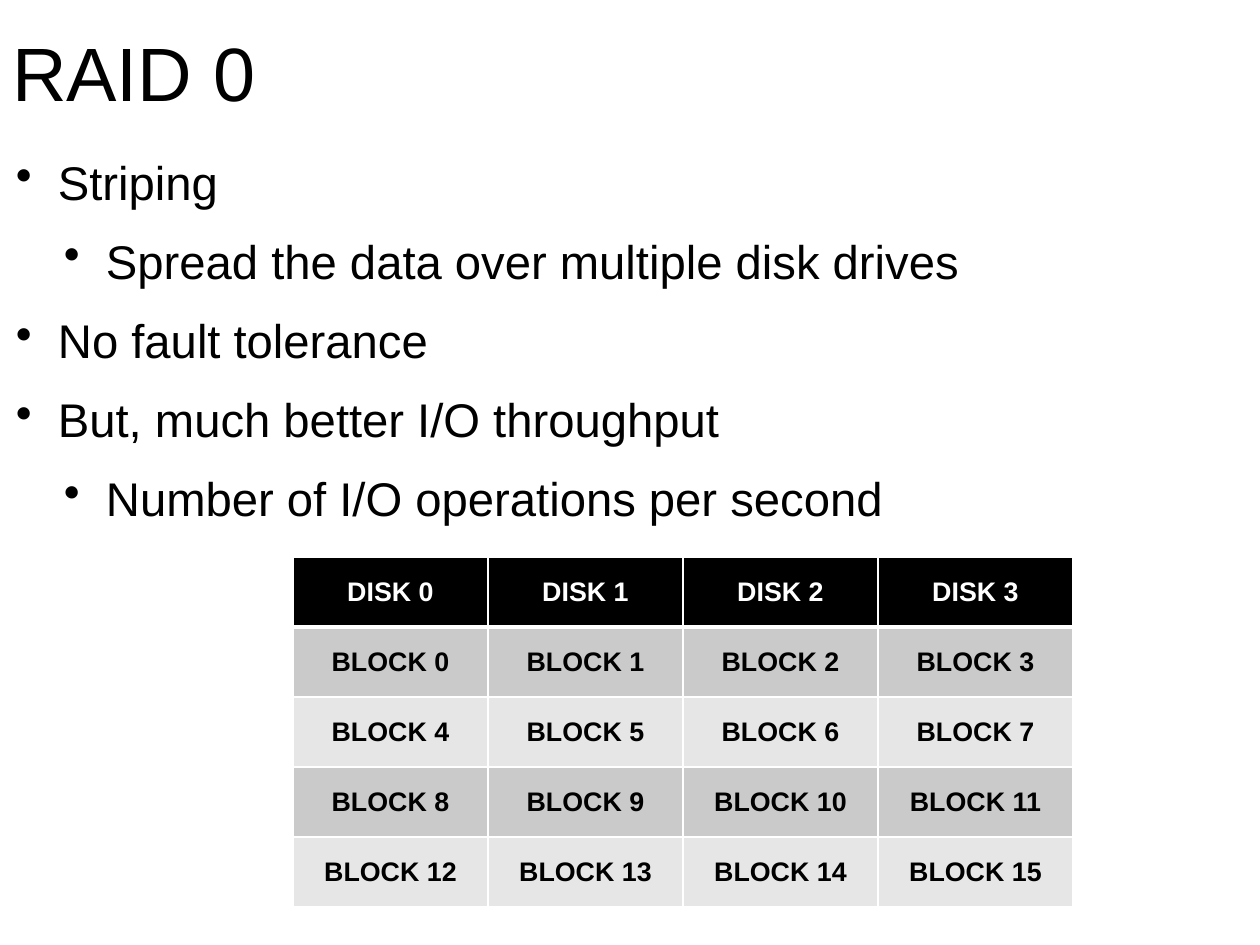
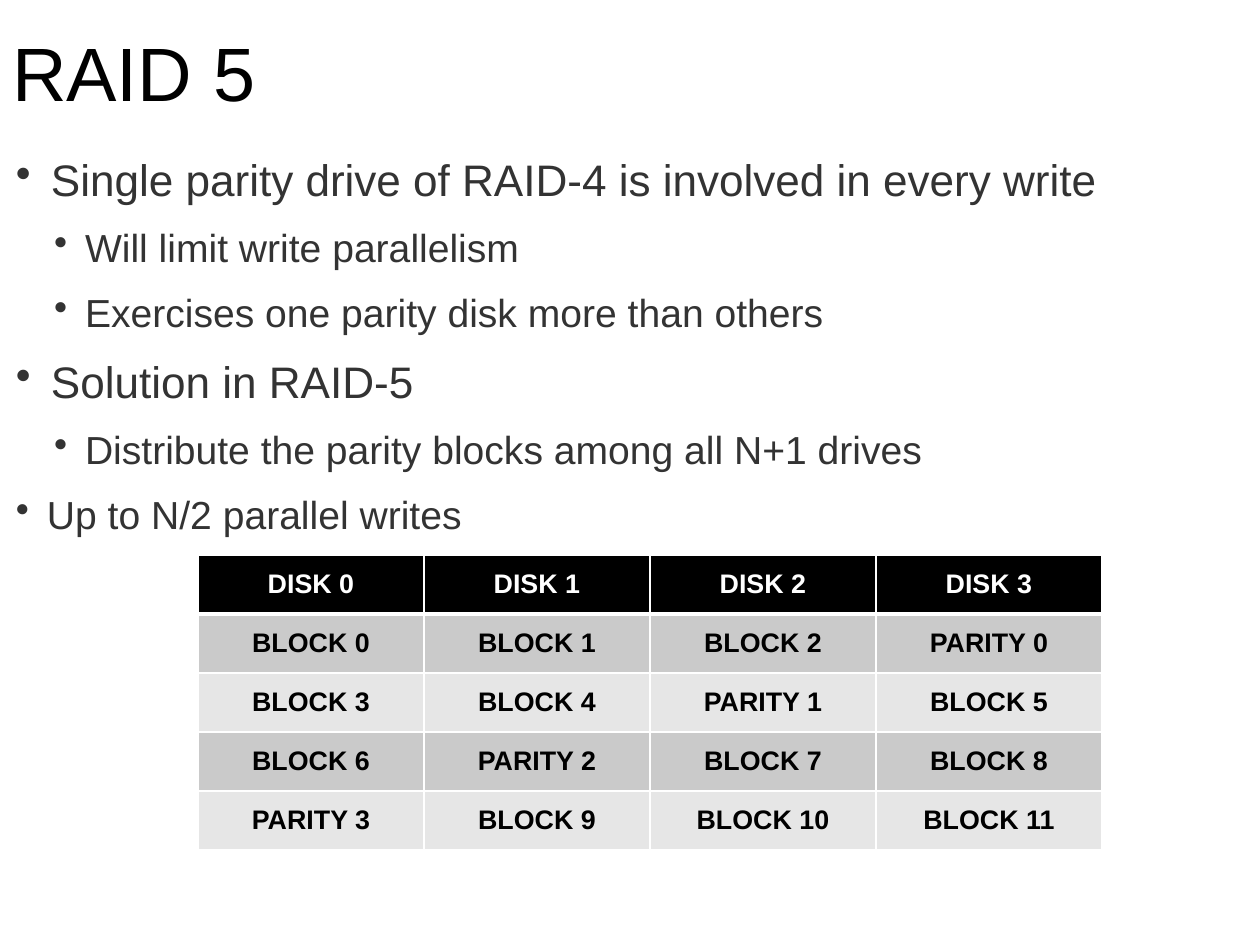
from dataclasses import dataclass

from lxml import etree
from pptx import Presentation
from pptx.dml.color import RGBColor
from pptx.enum.text import MSO_ANCHOR, PP_ALIGN
from pptx.oxml.ns import qn
from pptx.slide import Slide
from pptx.table import _Cell
from pptx.text.text import TextFrame, _Paragraph
from pptx.util import Pt

PX = 8064
SLIDE_SIZE = (1260, 945)
TITLE_ONLY = 5
DISKS = 4
STRIPES = 4
FONT = "Arial"
LINE_SPACING = 1.2
TEXT_INSET = 5
CELL_INSET = 8
COLORS = {
    "black": "000000",
    "white": "FFFFFF",
    "charcoal": "333333",
    "band_dark": "CACACA",
    "band_light": "E6E6E6",
}
LEFT, CENTER = PP_ALIGN.LEFT, PP_ALIGN.CENTER
TOP, MIDDLE, BOTTOM = MSO_ANCHOR.TOP, MSO_ANCHOR.MIDDLE, MSO_ANCHOR.BOTTOM


@dataclass(frozen=True)
class Box:
    """A rectangle in px."""

    left: int
    top: int
    width: int
    height: int

    def emu(self) -> tuple[int, int, int, int]:
        """Return the rectangle in EMU."""
        return self.left * PX, self.top * PX, self.width * PX, self.height * PX


@dataclass(frozen=True)
class BulletStyle:
    """Indent in px, sizes in points and colour of one bullet level."""

    margin: int
    hanging: int
    size: float
    space_before: float
    color: str


@dataclass(frozen=True)
class RaidSlide:
    """Content of one slide about a RAID level."""

    title: str
    bullets: list[tuple[BulletStyle, str]]
    bullet_box: Box
    blocks: list[list[str]]
    block_box: Box


TITLE_BOX = Box(7, 2, 1208, 120)
RAID0_MAIN = BulletStyle(42, 42, 30, 7, "black")
RAID0_SUB = BulletStyle(90, 42, 30, 7, "black")
RAID5_MAIN = BulletStyle(35, 35, 28, 5.5, "charcoal")
RAID5_SUB = BulletStyle(69, 31, 24.8, 5.5, "charcoal")
RAID5_LAST = BulletStyle(31, 31, 24.8, 5.5, "charcoal")


def stripe_blocks(with_parity: bool) -> list[list[str]]:
    """Number the blocks across the disks, moving parity one disk left per stripe."""
    stripes = []
    block = 0
    for stripe in range(STRIPES):
        labels = []
        for disk in range(DISKS):
            if with_parity and disk == DISKS - 1 - stripe:
                labels.append(f"PARITY {stripe}")
            else:
                labels.append(f"BLOCK {block}")
                block += 1
        stripes.append(labels)
    return stripes


SLIDES = [
    RaidSlide(
        "RAID 0",
        [
            (RAID0_MAIN, "Striping"),
            (RAID0_SUB, "Spread the data over multiple disk drives"),
            (RAID0_MAIN, "No fault tolerance"),
            (RAID0_MAIN, "But, much better I/O throughput"),
            (RAID0_SUB, "Number of I/O operations per second"),
        ],
        Box(11, 133, 1219, 391),
        stripe_blocks(with_parity=False),
        Box(293, 557, 780, 350),
    ),
    RaidSlide(
        "RAID 5",
        [
            (RAID5_MAIN, "Single parity drive of RAID-4 is involved in every write"),
            (RAID5_SUB, "Will limit write parallelism"),
            (RAID5_SUB, "Exercises one parity disk more than others"),
            (RAID5_MAIN, "Solution in RAID-5"),
            (RAID5_SUB, "Distribute the parity blocks among all N+1 drives"),
            (RAID5_LAST, "Up to N/2 parallel writes"),
        ],
        Box(11, 133, 1198, 365),
        stripe_blocks(with_parity=True),
        Box(198, 555, 904, 295),
    ),
]


def rgb(color: str) -> RGBColor:
    """Look up a named colour."""
    return RGBColor.from_string(COLORS[color])


def write(paragraph: _Paragraph, text: str, size: float, color: str,
          align: PP_ALIGN = LEFT, bold: bool = False) -> None:
    """Fill a paragraph and format its runs."""
    paragraph.text = text
    paragraph.alignment = align
    for run in paragraph.runs:
        run.font.name = FONT
        run.font.size = Pt(size)
        run.font.bold = bold
        run.font.color.rgb = rgb(color)


def set_frame(frame: TextFrame, anchor: MSO_ANCHOR, top_inset: int) -> None:
    """Set wrapping, anchor and insets of a text frame."""
    frame.word_wrap = True
    frame.vertical_anchor = anchor
    frame.margin_left = frame.margin_right = frame.margin_bottom = TEXT_INSET * PX
    frame.margin_top = top_inset * PX


def add_title(slide: Slide, text: str) -> None:
    """Place and format the title placeholder."""
    title = slide.shapes.title
    title.left, title.top, title.width, title.height = TITLE_BOX.emu()
    set_frame(title.text_frame, BOTTOM, TEXT_INSET)
    heading = title.text_frame.paragraphs[0]
    write(heading, text, 48, "black")
    heading.line_spacing = LINE_SPACING


def add_bullets(slide: Slide, box: Box, bullets: list[tuple[BulletStyle, str]]) -> None:
    """Draw the bullet list."""
    frame = slide.shapes.add_textbox(*box.emu()).text_frame
    set_frame(frame, TOP, 9)
    for index, (style, text) in enumerate(bullets):
        point = frame.add_paragraph() if index else frame.paragraphs[0]
        write(point, text, style.size, style.color)
        point.line_spacing = LINE_SPACING
        point.space_before = Pt(style.space_before)
        properties = point._p.get_or_add_pPr()
        properties.set("marL", str(style.margin * PX))
        properties.set("indent", str(-style.hanging * PX))
        etree.SubElement(properties, qn("a:buChar")).set("char", "•")


def add_borders(cell: _Cell, bottom_width: int) -> None:
    """Give a cell white borders, with its own width at the bottom."""
    properties = cell._tc.get_or_add_tcPr()
    for side, width in (("L", 1), ("R", 1), ("T", 1), ("B", bottom_width)):
        border = etree.SubElement(properties, qn(f"a:ln{side}"), w=str(Pt(width)))
        fill = etree.SubElement(border, qn("a:solidFill"))
        etree.SubElement(fill, qn("a:srgbClr"), val=COLORS["white"])


def add_block_table(slide: Slide, box: Box, blocks: list[list[str]]) -> None:
    """Draw the table of disks and their blocks."""
    rows = [[f"DISK {disk}" for disk in range(DISKS)], *blocks]
    table = slide.shapes.add_table(len(rows), DISKS, *box.emu()).table
    table.first_row = table.horz_banding = False
    for row_index, labels in enumerate(rows):
        is_header = row_index == 0
        band = "band_dark" if row_index % 2 else "band_light"
        for disk, label in enumerate(labels):
            cell = table.cell(row_index, disk)
            cell.vertical_anchor = MIDDLE
            cell.margin_left = cell.margin_right = CELL_INSET * PX
            cell.margin_top = cell.margin_bottom = CELL_INSET * PX
            add_borders(cell, 3 if is_header else 1)
            cell.fill.solid()
            cell.fill.fore_color.rgb = rgb("black" if is_header else band)
            write(cell.text_frame.paragraphs[0], label, 17,
                  "white" if is_header else "black", CENTER, bold=True)


def main() -> None:
    """Build the presentation."""
    presentation = Presentation()
    presentation.slide_width, presentation.slide_height = (side * PX for side in SLIDE_SIZE)
    for content in SLIDES:
        slide = presentation.slides.add_slide(presentation.slide_layouts[TITLE_ONLY])
        add_title(slide, content.title)
        add_bullets(slide, content.bullet_box, content.bullets)
        add_block_table(slide, content.block_box, content.blocks)
    presentation.save("out.pptx")


if __name__ == "__main__":
    main()
